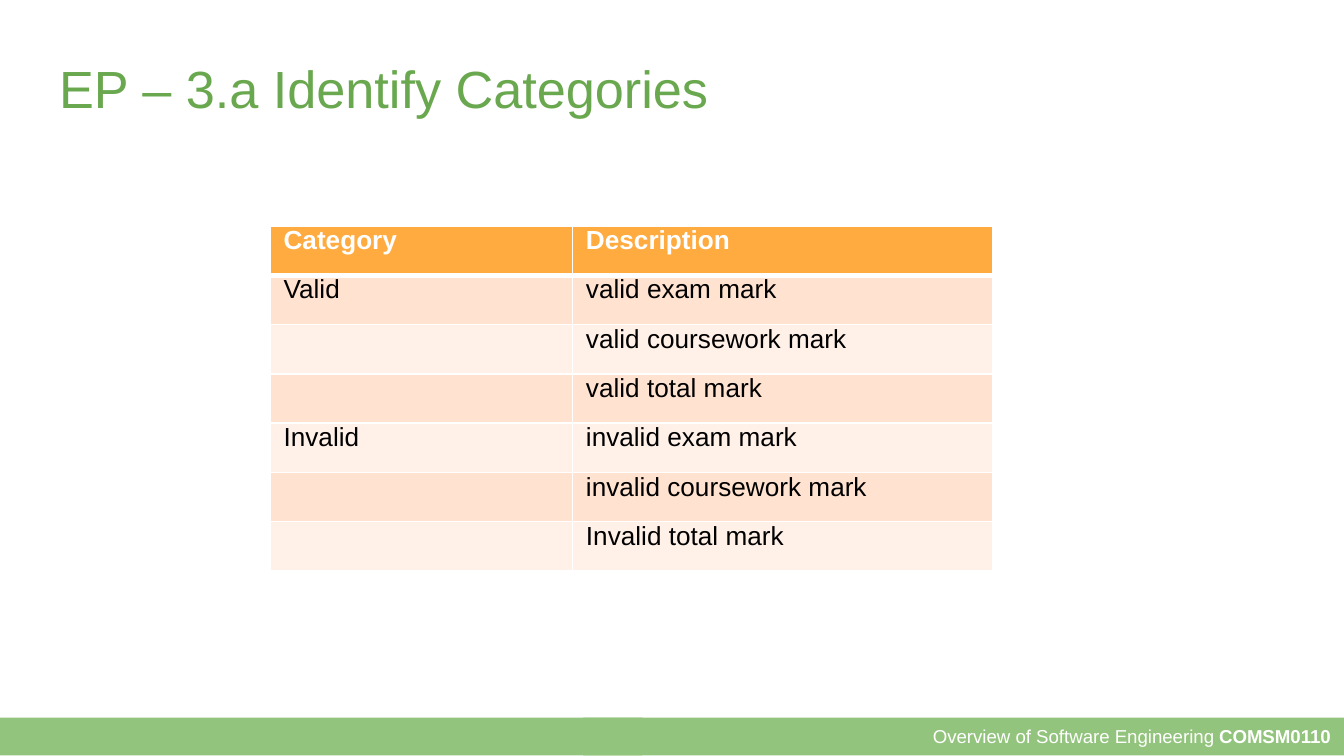
from dataclasses import dataclass

from lxml import etree
from pptx import Presentation
from pptx.dml.color import RGBColor
from pptx.enum.shapes import MSO_SHAPE
from pptx.enum.text import MSO_ANCHOR, PP_ALIGN
from pptx.oxml.ns import qn
from pptx.util import Inches, Pt

RECTANGLE = MSO_SHAPE.RECTANGLE
TOP, MIDDLE = MSO_ANCHOR.TOP, MSO_ANCHOR.MIDDLE
LEFT, RIGHT = PP_ALIGN.LEFT, PP_ALIGN.RIGHT
TITLE_ONLY = 5

FONT = "Arial"
COLORS = {
    "title": "6AA84F",
    "footer": "93C47D",
    "header": "FFAB40",
    "odd_row": "FFE2CF",
    "even_row": "FFF1E8",
    "white": "FFFFFF",
    "black": "000000",
}


@dataclass
class Box:
    left: float
    top: float
    width: float
    height: float

    def lengths(self):
        return [Inches(n) for n in (self.left, self.top, self.width, self.height)]


@dataclass
class CategoryRow:
    category: str
    description: str


TITLE_BOX = Box(0.34, 0.32, 9.32, 0.63)
FOOTER_RIGHT = Box(4.34, 5.34, 5.66, 0.28)
FOOTER_LEFT = Box(0, 5.34, 4.78, 0.28)
TABLE_BOX = Box(2.01, 1.68, 5.38, 2.57)
COLUMN_WIDTHS = (2.25, 3.13)

ROWS = [
    CategoryRow("Category", "Description"),
    CategoryRow("Valid", "valid exam mark"),
    CategoryRow("", "valid coursework mark"),
    CategoryRow("", "valid total mark"),
    CategoryRow("Invalid", "invalid exam mark"),
    CategoryRow("", "invalid coursework mark"),
    CategoryRow("", "Invalid total mark"),
]


def rgb(name: str) -> RGBColor:
    return RGBColor.from_string(COLORS[name])


def add_text(paragraph, text: str, *, size: float, color: str, bold: bool = False) -> None:
    run = paragraph.add_run()
    run.text = text
    run.font.name = FONT
    run.font.size = Pt(size)
    run.font.bold = bold
    run.font.color.rgb = rgb(color)


def set_insets(frame, inset: float) -> None:
    frame.margin_left = frame.margin_right = Inches(inset)
    frame.margin_top = frame.margin_bottom = Inches(inset)


def add_title(slide, text: str) -> None:
    title = slide.shapes.title
    title.left, title.top, title.width, title.height = TITLE_BOX.lengths()
    frame = title.text_frame
    frame.word_wrap = True
    frame.vertical_anchor = TOP
    set_insets(frame, 0.1)
    paragraph = frame.paragraphs[0]
    paragraph.alignment = LEFT
    add_text(paragraph, text, size=28, color="title")


def add_footer_bar(slide, box: Box):
    bar = slide.shapes.add_shape(RECTANGLE, *box.lengths())
    bar.shadow.inherit = False
    bar.fill.solid()
    bar.fill.fore_color.rgb = rgb("footer")
    bar.line.fill.background()
    return bar


def add_footer(slide) -> None:
    frame = add_footer_bar(slide, FOOTER_RIGHT).text_frame
    frame.word_wrap = True
    frame.vertical_anchor = MIDDLE
    set_insets(frame, 0.1)
    paragraph = frame.paragraphs[0]
    paragraph.alignment = RIGHT
    add_text(paragraph, "Overview of Software Engineering ", size=10, color="white")
    add_text(paragraph, "COMSM0110", size=10, color="white", bold=True)
    add_footer_bar(slide, FOOTER_LEFT)


def set_borders(cell, *, top: float, bottom: float) -> None:
    """Draw white cell borders; must run before the fill, which follows them in the XML."""
    properties = cell._tc.get_or_add_tcPr()
    for tag, width in (("a:lnL", 1), ("a:lnR", 1), ("a:lnT", top), ("a:lnB", bottom)):
        line = etree.SubElement(properties, qn(tag), w=str(Pt(width)))
        fill = etree.SubElement(line, qn("a:solidFill"))
        etree.SubElement(fill, qn("a:srgbClr"), val=COLORS["white"])


def format_cell(cell, text: str, row_index: int) -> None:
    is_header = row_index == 0
    set_borders(cell, top=3 if row_index == 1 else 1, bottom=3 if is_header else 1)
    cell.margin_left = cell.margin_right = Inches(0.1)
    cell.margin_top = cell.margin_bottom = 0
    cell.vertical_anchor = TOP
    band = "odd_row" if row_index % 2 else "even_row"
    cell.fill.solid()
    cell.fill.fore_color.rgb = rgb("header" if is_header else band)
    if text:
        add_text(cell.text_frame.paragraphs[0], text, size=14,
                 color="white" if is_header else "black", bold=is_header)


def add_category_table(slide, rows: list[CategoryRow]) -> None:
    table = slide.shapes.add_table(len(rows), len(COLUMN_WIDTHS), *TABLE_BOX.lengths()).table
    for column, width in zip(table.columns, COLUMN_WIDTHS):
        column.width = Inches(width)
    for row_index, row in enumerate(rows):
        for column_index, text in enumerate((row.category, row.description)):
            format_cell(table.cell(row_index, column_index), text, row_index)


def main() -> None:
    presentation = Presentation()
    presentation.slide_width = Inches(10)
    presentation.slide_height = Inches(10 * 9 / 16)
    slide = presentation.slides.add_slide(presentation.slide_layouts[TITLE_ONLY])
    add_footer(slide)
    add_title(slide, "EP – 3.a Identify Categories")
    add_category_table(slide, ROWS)
    presentation.save("out.pptx")


if __name__ == "__main__":
    main()
